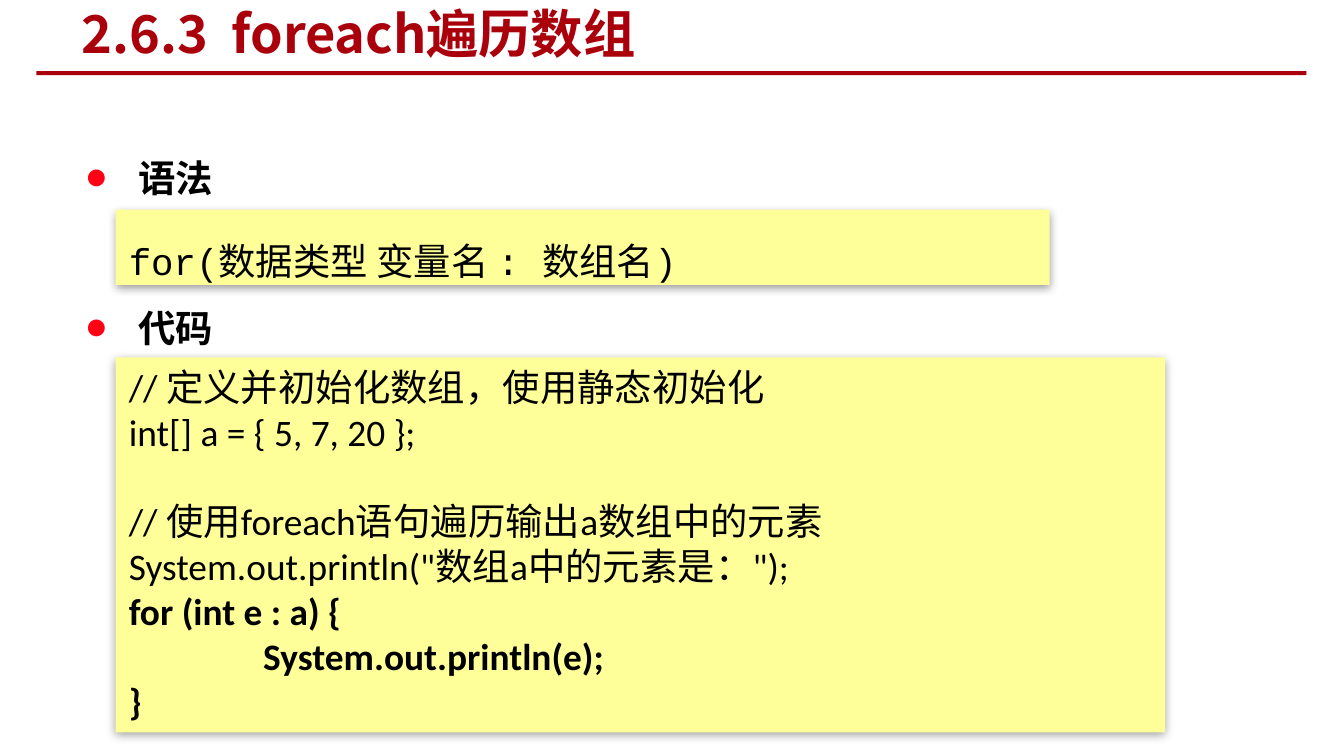
from pptx import Presentation
from pptx.dml.color import RGBColor
from pptx.enum.shapes import MSO_SHAPE as Shape
from pptx.enum.text import MSO_ANCHOR as Anchor, PP_ALIGN as Align
from pptx.oxml import parse_xml
from pptx.oxml.ns import nsdecls, qn
from pptx.util import Inches, Pt

RED = RGBColor(0xAA, 0x00, 0x0B)
BLACK = RGBColor(0x00, 0x00, 0x00)
YELLOW = RGBColor(0xFF, 0xFF, 0x99)
DOT = RGBColor(0xFF, 0x00, 0x14)
SANS, MONO, BODY = "Noto Sans CJK SC", "Courier New", "Calibri"

SHADOW = f"""<a:effectLst {nsdecls('a')}>
  <a:outerShdw blurRad="63500" dist="20320" dir="5400000" rotWithShape="0">
    <a:srgbClr val="000000"><a:alpha val="38000"/></a:srgbClr>
  </a:outerShdw>
</a:effectLst>"""


class Deck:
    """Holds the style and the current slide."""

    def __init__(self, wide, high):
        self.show = Presentation()
        self.show.slide_width, self.show.slide_height = Inches(wide), Inches(high)
        self.slide = self.show.slides.add_slide(self.show.slide_layouts[6])

    def line(self, para, text, font, size=20, bold=False, color=BLACK, **form):
        para.alignment = Align.LEFT
        for key, val in form.items():
            setattr(para, key, val)
        run = para.add_run()
        run.text = text
        style = {"name": font, "size": Pt(size), "bold": bold}
        for key, val in style.items():
            setattr(run.font, key, val)
        run.font.color.rgb = color
        east = parse_xml(f'<a:ea {nsdecls("a")} typeface="{SANS}"/>')
        run.font._element.find(qn("a:latin")).addnext(east)

    def fill(self, frame, lines, anchor=Anchor.TOP):
        frame.word_wrap = True
        frame.vertical_anchor = anchor
        for num, item in enumerate(lines):
            para = frame.add_paragraph() if num else frame.paragraphs[0]
            self.line(para, **item)

    def text(self, box, lines, anchor=Anchor.TOP):
        area = self.slide.shapes.add_textbox(*map(Inches, box))
        self.fill(area.text_frame, lines, anchor)
        return area

    def rect(self, box, color):
        rect = self.slide.shapes.add_shape(Shape.RECTANGLE, *map(Inches, box))
        rect.shadow.inherit = False
        rect.fill.solid()
        rect.fill.fore_color.rgb = color
        rect.line.fill.background()
        return rect

    def code(self, box, lines):
        card = self.rect(box, YELLOW)
        props = card._element.spPr
        props.replace(props.find(qn("a:effectLst")), parse_xml(SHADOW))
        self.fill(card.text_frame, lines)
        # One-inch tab stop
        for para in card.text_frame.paragraphs:
            para._p.get_or_add_pPr().append(parse_xml(
                f'<a:tabLst {nsdecls("a")}><a:tab pos="{Inches(1)}" algn="l"/></a:tabLst>'))

    def bullets(self, box, lines):
        area = self.text(box, lines)
        for para in area.text_frame.paragraphs:
            props = para._p.get_or_add_pPr()
            props.set("marL", str(Inches(0.38)))
            props.set("indent", str(-Inches(0.38)))
            for tag in (f'buClr {nsdecls("a")}><a:srgbClr val="{DOT}"/></a:buClr',
                        f'buSzPct {nsdecls("a")} val="50000"/',
                        f'buFont {nsdecls("a")} typeface="{SANS}"/',
                        f'buChar {nsdecls("a")} char="●"/'):
                props.append(parse_xml(f"<a:{tag}>"))


def main():
    deck = Deck(10, 10 * 9 / 16)

    # Title and rule
    deck.rect((0.27, 0.53, 9.45, 0.03), RED)
    title = dict(text="2.6.3  foreach遍历数组", font=SANS, size=28, bold=True, color=RED)
    deck.text((0.51, 0.02, 5.3, 0.45), [title], Anchor.MIDDLE)

    # Section heads
    head = dict(font=SANS, bold=True, line_spacing=1.5)
    deck.bullets((0.55, 0.94, 9.14, 3.75), [
        dict(head, text="语法"),
        dict(head, text="代码", space_before=Pt(44)),
    ])

    # Syntax
    deck.code((0.86, 1.56, 6.95, 0.56), [
        dict(text="for(数据类型 变量名 : 数组名)", font=MONO, line_spacing=1.5),
    ])

    # Sample code
    plain = dict(font=BODY)
    strong = dict(font=BODY, bold=True)
    deck.code((0.86, 2.66, 7.81, 2.79), [
        dict(plain, text="// 定义并初始化数组，使用静态初始化"),
        dict(plain, text="int[] a = { 5, 7, 20 };"),
        dict(plain, text="// 使用foreach语句遍历输出a数组中的元素", space_before=Pt(24)),
        dict(plain, text='System.out.println("数组a中的元素是：");'),
        dict(strong, text="for (int e : a) {"),
        dict(strong, text="\tSystem.out.println(e);"),
        dict(strong, text="}"),
    ])

    deck.show.save("out.pptx")


if __name__ == "__main__":
    main()
